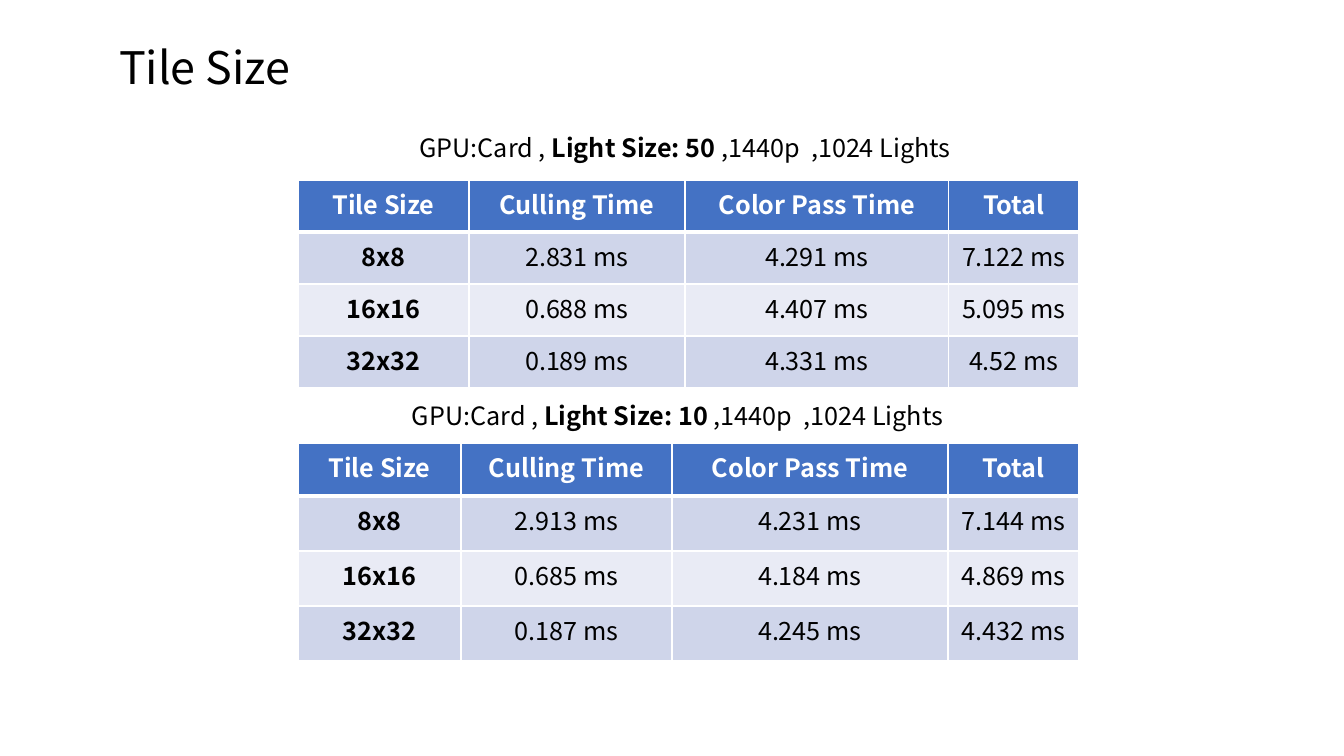
import pptx
import pptx.util
import pptx.dml.color
import pptx.enum.text
import pptx.oxml

SCALE = 914400 / 100.8
FONT = "Noto Sans CJK SC"
BLACK, WHITE, BLUE = "000000", "FFFFFF", "4472C4"
BANDS = ("CFD5EA", "E9EBF5")
HEAD = ("Tile Size", "Culling Time", "Color Pass Time", "Total")
ALIGN = pptx.enum.text.PP_ALIGN
NS = "http://schemas.openxmlformats.org/drawingml/2006/main"

# light size, caption box, table top, column widths, row heights, rows
TESTS = (
    (50, (388, 127, 600, 40), 180, (171, 216, 264, 130), (52, 52, 52, 52), (
        ("8x8", "2.831 ms", "4.291 ms", "7.122 ms"),
        ("16x16", "0.688 ms", "4.407 ms", "5.095 ms"),
        ("32x32", "0.189 ms", "4.331 ms", "4.52 ms"))),
    (10, (384, 395, 593, 40), 443, (163, 211, 276, 131), (53, 55, 55, 55), (
        ("8x8", "2.913 ms", "4.231 ms", "7.144 ms"),
        ("16x16", "0.685 ms", "4.184 ms", "4.869 ms"),
        ("32x32", "0.187 ms", "4.245 ms", "4.432 ms"))),
)


def px(num):
    return pptx.util.Emu(round(num * SCALE))


def rgb(code):
    return pptx.dml.color.RGBColor.from_string(code)


def style(para, size, color, align, bold=None):
    para.alignment = align
    font = para.font
    font.name, font.size, font.bold = FONT, pptx.util.Pt(size), bold
    font.color.rgb = rgb(color)


def title(slide, text):
    shape = slide.shapes.title
    shape.left, shape.top, shape.width, shape.height = map(px, (109, 35, 253, 65))
    frame = shape.text_frame
    frame.text = text
    frame.vertical_anchor = pptx.enum.text.MSO_ANCHOR.TOP
    style(frame.paragraphs[0], 32, BLACK, ALIGN.LEFT)


def caption(slide, box, light):
    frame = slide.shapes.add_textbox(*map(px, box)).text_frame
    frame.word_wrap = True
    para = frame.paragraphs[0]
    style(para, 18, BLACK, ALIGN.CENTER)
    for text, bold in (("GPU:Card , ", False), (f"Light Size: {light}", True),
                       (" ,1440p  ,1024 Lights ", False)):
        run = para.add_run()
        run.text = text
        run.font.bold = bold


def border(cell, widths):
    """Draw white cell edges; widths maps an edge letter to points."""
    props = cell._tc.get_or_add_tcPr()
    for edge, width in widths.items():
        props.append(pptx.oxml.parse_xml(
            f'<a:ln{edge} xmlns:a="{NS}" w="{pptx.util.Pt(width)}">'
            f'<a:solidFill><a:srgbClr val="{WHITE}"/></a:solidFill></a:ln{edge}>'))


def grid(slide, top, cols, heights, rows):
    size = map(px, (298, top, sum(cols), sum(heights)))
    table = slide.shapes.add_table(len(heights), len(cols), *size).table
    for col, width in zip(table.columns, cols):
        col.width = px(width)
    for r, (line, height) in enumerate(zip((HEAD, *rows), heights)):
        table.rows[r].height = px(height)
        for c, text in enumerate(line):
            cell = table.cell(r, c)
            cell.text = text
            style(cell.text_frame.paragraphs[0], 18, BLACK if r else WHITE,
                  ALIGN.CENTER, r == 0 or c == 0)
            border(cell, {"L": 1, "R": 1, "T": 3 if r == 1 else 1,
                          "B": 1 if r else 3})
            cell.fill.solid()
            cell.fill.fore_color.rgb = rgb(BANDS[(r - 1) % 2] if r else BLUE)


def main():
    deck = pptx.Presentation()
    deck.slide_width, deck.slide_height = px(1344), px(756)
    slide = deck.slides.add_slide(deck.slide_layouts[5])
    title(slide, "Tile Size")
    for light, box, top, cols, heights, rows in TESTS:
        caption(slide, box, light)
        grid(slide, top, cols, heights, rows)
    deck.save("out.pptx")


if __name__ == "__main__":
    main()
